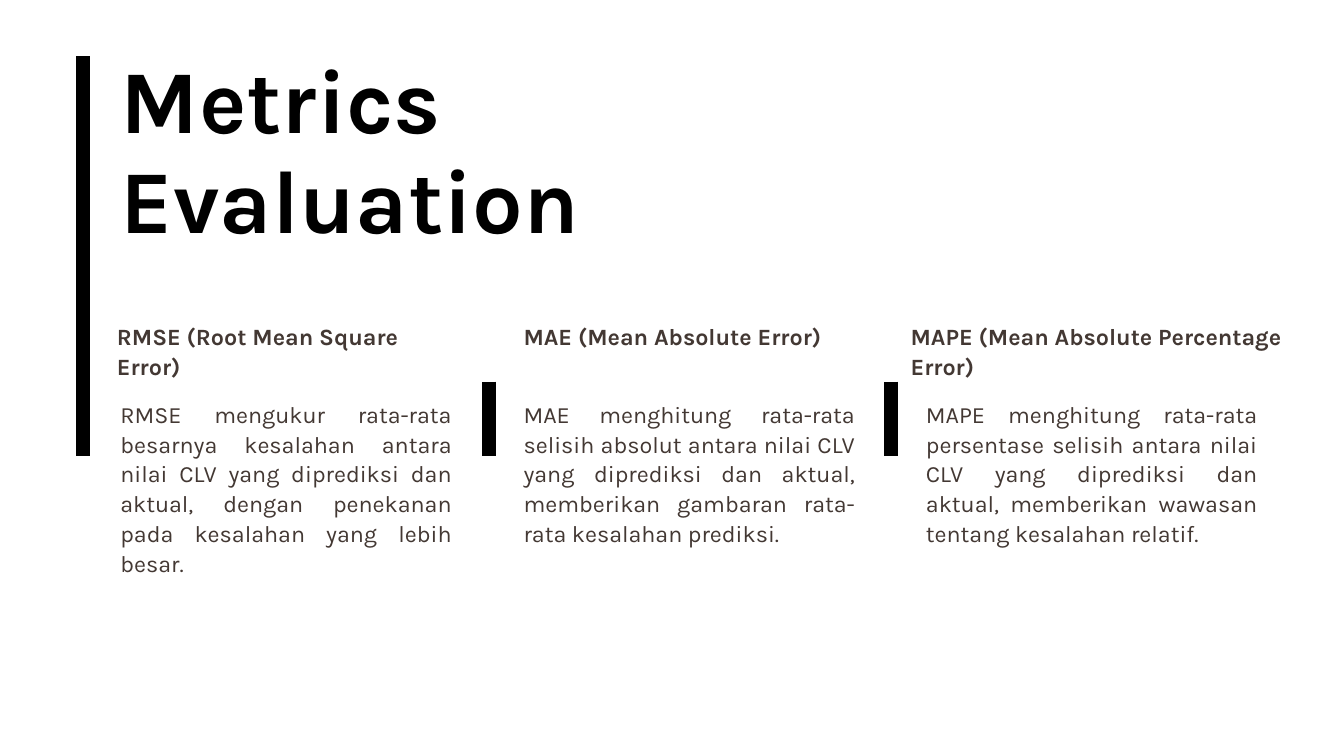
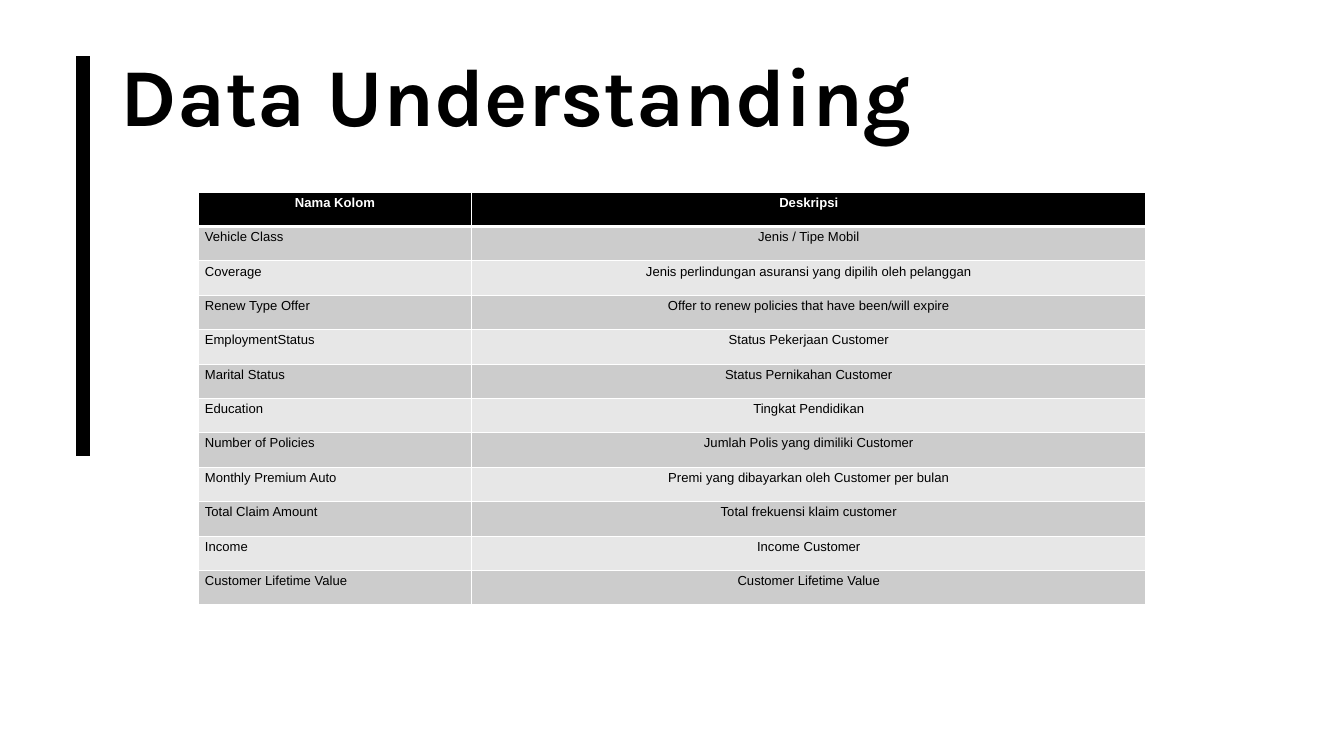
from lxml.etree import SubElement
from pptx import Presentation
from pptx.dml.color import RGBColor
from pptx.enum.shapes import MSO_CONNECTOR
from pptx.enum.text import MSO_AUTO_SIZE, PP_ALIGN
from pptx.oxml.ns import qn
from pptx.util import Cm, Pt

BLACK = RGBColor(0x00, 0x00, 0x00)
WHITE = RGBColor(0xFF, 0xFF, 0xFF)
BROWN = RGBColor(0x43, 0x38, 0x33)
DARK_BAND = RGBColor(0xCC, 0xCC, 0xCC)
LIGHT_BAND = RGBColor(0xE7, 0xE7, 0xE7)

TITLE_FONT = "Karla"
TABLE_FONT = "Arial"
BAR_BOTTOM = 17.25
HEADING_TOP = 12.12
BODY_TOP = 15.04
BODY_WIDTH = 12.52
ROW_HEIGHT = 1.3
COLUMN_WIDTHS = (10.34, 25.48)

METRICS = [
    ("RMSE (Root Mean Square Error)", 4.42, 12.62,
     "RMSE mengukur rata-rata besarnya kesalahan antara nilai CLV yang diprediksi "
     "dan aktual, dengan penekanan pada kesalahan yang lebih besar.", 4.55, 6.86),
    ("MAE (Mean Absolute Error)", 19.79, 12.52,
     "MAE menghitung rata-rata selisih absolut antara nilai CLV yang diprediksi "
     "dan aktual, memberikan gambaran rata-rata kesalahan prediksi.", 19.79, 5.72),
    ("MAPE (Mean Absolute Percentage Error)", 34.42, 15.24,
     "MAPE menghitung rata-rata persentase selisih antara nilai CLV yang diprediksi "
     "dan aktual, memberikan wawasan tentang kesalahan relatif.", 35, 5.72),
]

DATA_COLUMNS = [
    ("Nama Kolom", "Deskripsi"),
    ("Vehicle Class", "Jenis / Tipe Mobil"),
    ("Coverage", "Jenis perlindungan asuransi yang dipilih oleh pelanggan"),
    ("Renew Type Offer", "Offer to renew policies that have been/will expire"),
    ("EmploymentStatus", "Status Pekerjaan Customer"),
    ("Marital Status", "Status Pernikahan Customer"),
    ("Education", "Tingkat Pendidikan"),
    ("Number of Policies", "Jumlah Polis yang dimiliki Customer"),
    ("Monthly Premium Auto", "Premi yang dibayarkan oleh Customer per bulan"),
    ("Total Claim Amount", "Total frekuensi klaim customer"),
    ("Income", "Income Customer"),
    ("Customer Lifetime Value", "Customer Lifetime Value"),
]


def style_paragraph(paragraph, font_name, size, color, bold, alignment):
    """Set the alignment of a paragraph and the font of its runs."""
    paragraph.alignment = alignment
    for run in paragraph.runs:
        run.font.name = font_name
        run.font.size = Pt(size)
        run.font.bold = bold
        run.font.color.rgb = color


def add_text(slide, text, left, top, width, height, size=25, color=BROWN,
             bold=False, alignment=PP_ALIGN.LEFT, line_spacing=1.07):
    """Add a wrapped text box without margins."""
    box = slide.shapes.add_textbox(Cm(left), Cm(top), Cm(width), Cm(height))
    frame = box.text_frame
    frame.word_wrap = True
    frame.auto_size = MSO_AUTO_SIZE.SHAPE_TO_FIT_TEXT
    frame.margin_left = frame.margin_right = frame.margin_top = frame.margin_bottom = 0
    frame.text = text
    paragraph = frame.paragraphs[0]
    paragraph.line_spacing = line_spacing
    style_paragraph(paragraph, TITLE_FONT, size, color, bold, alignment)


def add_bar(slide, x, top):
    """Add a thick vertical bar that ends at the shared bottom."""
    bar = slide.shapes.add_connector(
        MSO_CONNECTOR.STRAIGHT, Cm(x), Cm(top), Cm(x), Cm(BAR_BOTTOM))
    bar.line.color.rgb = BLACK
    bar.line.width = Pt(15)
    SubElement(bar.element.spPr, qn("a:effectLst"))


def add_titled_slide(presentation, title, width, height, size):
    """Add a blank slide with the side bar and its title."""
    slide = presentation.slides.add_slide(presentation.slide_layouts[6])
    add_bar(slide, 3.12, 2.13)
    add_text(slide, title, 4.57, 2.01, width, height, size, BLACK, True, line_spacing=0.93)
    return slide


def set_border(cell, side, width):
    """Draw one white border of a cell."""
    line = SubElement(cell._tc.get_or_add_tcPr(), qn(f"a:ln{side}"), w=str(Pt(width)))
    fill = SubElement(line, qn("a:solidFill"))
    SubElement(fill, qn("a:srgbClr"), val=str(WHITE))


def style_cell(cell, row, column):
    """Format a cell as header or band."""
    header = row == 0
    widths = {"L": 1, "R": 1, "T": 3 if row == 1 else 1, "B": 3 if header else 1}
    for side, width in widths.items():
        set_border(cell, side, width)
    cell.fill.solid()
    cell.fill.fore_color.rgb = BLACK if header else DARK_BAND if row % 2 else LIGHT_BAND
    alignment = PP_ALIGN.CENTER if header or column else PP_ALIGN.LEFT
    style_paragraph(cell.text_frame.paragraphs[0], TABLE_FONT, 14,
                    WHITE if header else BLACK, header, alignment)


def add_data_table(slide, rows, left, top):
    """Add the banded table of column names and descriptions."""
    table = slide.shapes.add_table(
        len(rows), len(COLUMN_WIDTHS), Cm(left), Cm(top),
        Cm(sum(COLUMN_WIDTHS)), Cm(ROW_HEIGHT * len(rows))).table
    for column, width in zip(table.columns, COLUMN_WIDTHS):
        column.width = Cm(width)
    for row, texts in enumerate(rows):
        table.rows[row].height = Cm(ROW_HEIGHT)
        for column, text in enumerate(texts):
            cell = table.cell(row, column)
            cell.text_frame.text = text
            style_cell(cell, row, column)


def add_metrics_slide(presentation):
    """Build the slide that explains three error metrics."""
    slide = add_titled_slide(presentation, "Metrics Evaluation", 28.27, 3.81, 96)
    for x in (18.47, 33.68):
        add_bar(slide, x, 14.43)
    for heading, heading_left, heading_width, body, body_left, body_height in METRICS:
        add_text(slide, heading, heading_left, HEADING_TOP, heading_width, 1.14, bold=True)
        add_text(slide, body, body_left, BODY_TOP, BODY_WIDTH, body_height,
                 alignment=PP_ALIGN.JUSTIFY)


def add_data_slide(presentation):
    """Build the slide that describes the data columns."""
    slide = add_titled_slide(presentation, "Data Understanding", 32.59, 3.5, 88)
    add_data_table(slide, DATA_COLUMNS, 7.49, 7.26)


def main():
    """Build and save the presentation."""
    presentation = Presentation()
    presentation.slide_width = Cm(50.8)
    presentation.slide_height = Cm(28.58)
    add_metrics_slide(presentation)
    add_data_slide(presentation)
    presentation.save("out.pptx")


if __name__ == "__main__":
    main()
